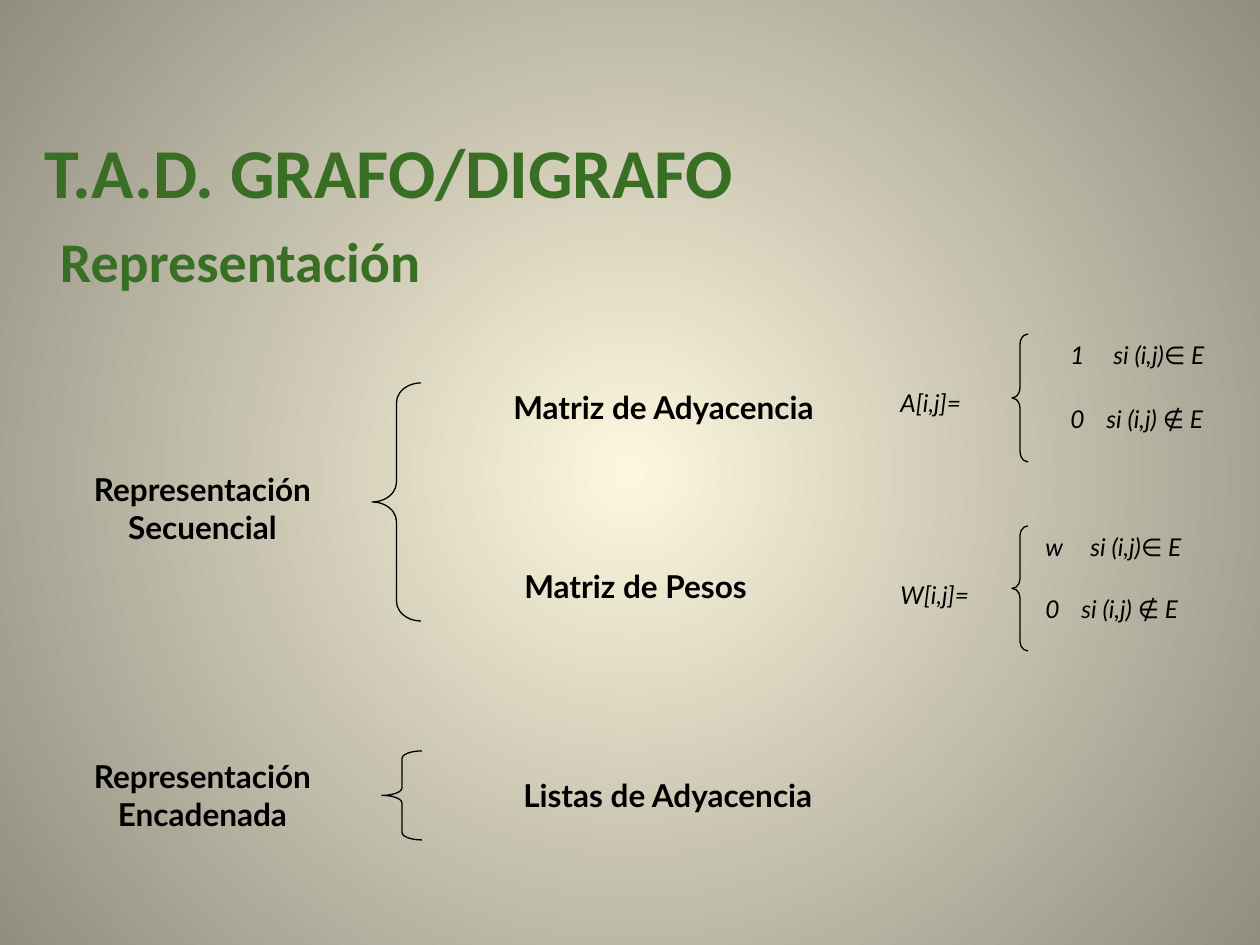
from lxml import etree
from pptx import Presentation
from pptx import util as u
from pptx.dml.color import RGBColor
from pptx.enum import shapes, text
from pptx.oxml import ns

PX = 914400 / 126
BLACK, GREEN = "000000", "386F24"


def px(*lengths):
    """Turn px lengths into EMU."""
    return [u.Emu(round(length * PX)) for length in lengths]


def rgb(value):
    """Turn a hex string into a colour."""
    return RGBColor.from_string(value)


def child(parent, tag, **attributes):
    """Append a DrawingML element to a parent."""
    return etree.SubElement(parent, ns.qn(f"a:{tag}"), **attributes)


def add_run(paragraph, words, size, font, color, bold=False, italic=False):
    """Add one formatted run."""
    run = paragraph.add_run()
    run.text = words
    run.font.size = u.Pt(size)
    run.font.name = font
    run.font.bold = bold
    run.font.italic = italic
    run.font.color.rgb = rgb(color)


def paint_background(slide):
    """Fill the slide with a circular gradient."""
    fill = slide.background.fill
    fill.gradient()
    for stop, position, color in zip(fill.gradient_stops, (0, 1), ("FCF7DD", "918E81")):
        stop.position = position
        stop.color.rgb = rgb(color)
    gradient = slide.background._cSld.find(".//" + ns.qn("a:gradFill"))
    linear = gradient.find(ns.qn("a:lin"))
    if linear is not None:
        gradient.remove(linear)
    circle = child(gradient, "path", path="circle")
    child(circle, "fillToRect", l="50000", t="50000", r="50000", b="50000")


def write_title(title, box):
    """Place the heading and its subheading in the title placeholder."""
    title.left, title.top, title.width, title.height = px(*box)
    frame = title.text_frame
    frame.word_wrap = True
    frame.auto_size = text.MSO_AUTO_SIZE.NONE
    frame.vertical_anchor = text.MSO_ANCHOR.TOP
    frame.margin_left = frame.margin_top = frame.margin_right = frame.margin_bottom = 0
    heading = frame.paragraphs[0]
    heading.alignment = text.PP_ALIGN.LEFT
    add_run(heading, "T.A.D. GRAFO/DIGRAFO", 40, "Calibri", GREEN, bold=True)
    heading.add_line_break()
    add_run(heading, " ", 40, "Calibri", GREEN, bold=True)
    add_run(heading, "Representación", 32, "Calibri", GREEN, bold=True)


def add_label(parent, box, words, size=18, align=text.PP_ALIGN.LEFT, italic=False, tab=None):
    """Add a text box: bold for a name, italic for a formula."""
    label = parent.add_textbox(*px(*box))
    label.text_frame.word_wrap = True
    paragraph = label.text_frame.paragraphs[0]
    paragraph.alignment = align
    if tab:
        stops = child(paragraph._p.get_or_add_pPr(), "tabLst")
        child(stops, "tab", pos=str(px(tab)[0]), algn="l")
    add_run(paragraph, words, size, "Lato", BLACK, bold=not italic, italic=italic)


def add_brace(parent, box, curve):
    """Add a thin left brace."""
    brace = parent.add_shape(shapes.MSO_SHAPE.LEFT_BRACE, *px(*box))
    brace.adjustments[0] = curve
    brace.adjustments[1] = 0.5
    brace.shadow.inherit = False
    brace.fill.background()
    brace.line.color.rgb = rgb(BLACK)
    brace.line.width = u.Pt(0.75)


def add_branch(parent, origin, name, brace, curve, members):
    """Add a representation with its brace and the structures it covers."""
    x, y = origin
    add_label(parent, (x, y, 277, 88), name, align=text.PP_ALIGN.CENTER)
    dx, dy, width, height = brace
    add_brace(parent, (x + dx, y + dy, width, height), curve)
    for member, dx, dy, width in members:
        add_label(parent, (x + dx, y + dy, width, 50), member)


def add_definition(parent, box, name, cases, cases_left, curve):
    """Add a formula defined by cases, as one group."""
    x, y, width, height = box
    group = parent.add_group_shape().shapes
    add_brace(group, (x + 124, y, 16, height), curve)
    for row, (value, condition, tab) in enumerate(cases):
        case_box = (x + cases_left, y + row * height // 2, width - cases_left, 47)
        add_label(group, case_box, f"{value}\t{condition}", 14,
                  italic=True, tab=tab)
    add_label(group, (x, y + 48, 112, 64), name, 14, italic=True)


def main():
    """Build the slide."""
    deck = Presentation()
    deck.slide_width, deck.slide_height = px(1260, 945)
    slide = deck.slides.add_slide(deck.slide_layouts[5])
    paint_background(slide)
    write_title(slide.shapes.title, (44, 129, 1138, 170))
    add_branch(slide.shapes, (64, 464), "Representación Secuencial",
               (308, -81, 49, 238), 0.402,
               [("Matriz de Adyacencia", 437, -82, 377), ("Matriz de Pesos", 448, 97, 307)])
    add_branch(slide.shapes, (64, 751), "Representación Encadenada",
               (318, 0, 40, 89), 0.187, [("Listas de Adyacencia", 447, 19, 427)])
    inside, outside = "si (i,j)∈ E", "si (i,j) ∉ E"
    add_definition(slide.shapes, (888, 334, 357, 128), "A[i,j]=",
                   [("1", inside, 43), ("0", outside, 36)], 170, 0.667)
    add_definition(slide.shapes, (888, 526, 338, 125), "W[i,j]=",
                   [("w", inside, 45), ("0", outside, 36)], 145, 0.582)
    deck.save("out.pptx")


if __name__ == "__main__":
    main()
